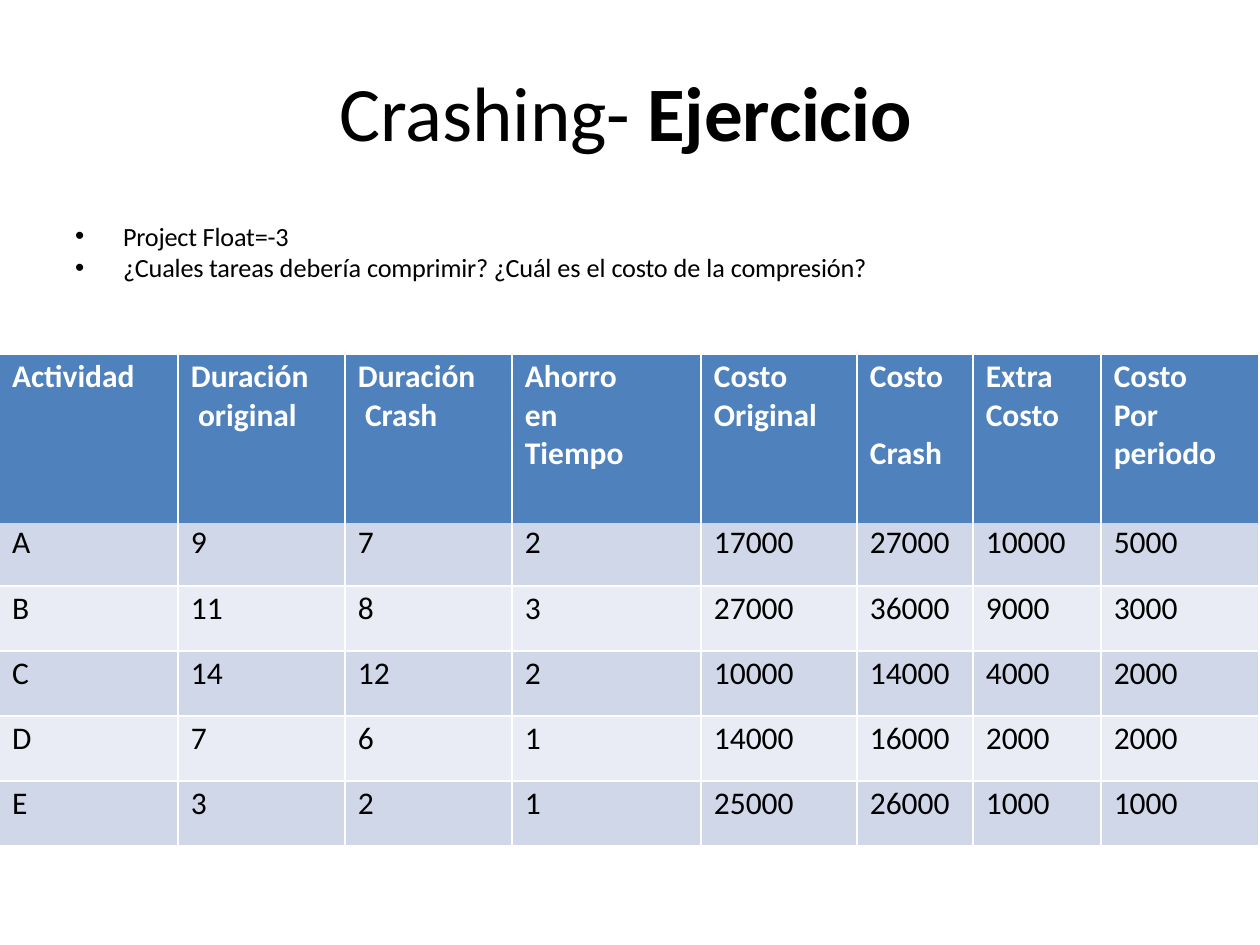
from dataclasses import dataclass

from lxml.etree import SubElement
from pptx import Presentation
from pptx.dml.color import RGBColor
from pptx.enum.text import PP_ALIGN
from pptx.oxml import parse_xml
from pptx.oxml.ns import nsdecls, qn
from pptx.util import Emu, Pt

PX = 914400 // 126


@dataclass(frozen=True)
class Theme:
    font: str = "Calibri"
    text: str = "000000"
    light: str = "FFFFFF"
    header: str = "4F81BC"
    bands: tuple = ("D0D7E8", "E9ECF4")
    title_size: int = 44
    body_size: int = 15
    table_size: int = 18


THEME = Theme()

# Each run is its text and its letter spacing in hundredths of a point.
BULLETS = [
    [("Project Float=-3", -10)],
    [("¿Cuales tareas ", -10), ("debería ", 0), ("comprimir? ¿Cuál ", -10),
     ("es el ", 0), ("costo ", -10), ("de la ", 0), ("compresión?", -10)],
]
COLUMNS = [179, 167, 167, 189, 156, 116, 128, 158]
ROWS = [169, 63, 65, 65, 65, 65]
HEADERS = ["Actividad", "Duración\v original", "Duración\v Crash",
           "Ahorro\ven\vTiempo", "Costo\vOriginal", "Costo\v\vCrash",
           "Extra\vCosto", "Costo\vPor\vperiodo"]
ACTIVITIES = [
    ["A", 9, 7, 2, 17000, 27000, 10000, 5000],
    ["B", 11, 8, 3, 27000, 36000, 9000, 3000],
    ["C", 14, 12, 2, 10000, 14000, 4000, 2000],
    ["D", 7, 6, 1, 14000, 16000, 2000, 2000],
    ["E", 3, 2, 1, 25000, 26000, 1000, 1000],
]


def px(n):
    return Emu(n * PX)


def add_run(p, text, size, color=THEME.text, bold=False, spacing=0):
    r = p.add_run()
    r.text = text
    r.font.name = THEME.font
    r.font.size = Pt(size)
    r.font.bold = bold
    r.font.color.rgb = RGBColor.from_string(color)
    if spacing:
        r._r.get_or_add_rPr().set("spc", str(spacing))


def add_text_box(s, left, top, width, height, margin_top):
    tf = s.shapes.add_textbox(px(left), px(top), px(width), px(height)).text_frame
    tf.word_wrap = True
    tf.margin_left = tf.margin_right = tf.margin_bottom = 0
    tf.margin_top = px(margin_top)
    return tf


def add_title(s):
    p = add_text_box(s, 340, 64, 580, 97, 1).paragraphs[0]
    p.alignment = PP_ALIGN.LEFT
    add_run(p, "Crashing- ", THEME.title_size, spacing=-10)
    add_run(p, "Ejercicio", THEME.title_size, bold=True, spacing=-10)


def add_bullets(s):
    tf = add_text_box(s, 74, 218, 804, 67, 2)
    for i, runs in enumerate(BULLETS):
        p = tf.add_paragraph() if i else tf.paragraphs[0]
        pPr = p._p.get_or_add_pPr()
        pPr.set("marL", str(px(49)))
        pPr.set("indent", str(-px(48)))
        SubElement(pPr, qn("a:buFont"), typeface="Arial")
        SubElement(pPr, qn("a:buChar"), char="•")
        for text, spacing in runs:
            add_run(p, text, THEME.body_size, spacing=spacing)


def set_borders(cell, sides):
    """Draw the given sides (of L, R, T, B) and clear the others."""
    tcPr = cell._tc.get_or_add_tcPr()
    for i, side in enumerate("LRTB"):
        paint = (f'<a:solidFill><a:srgbClr val="{THEME.light}"/></a:solidFill>'
                 if side in sides else "<a:noFill/>")
        tcPr.insert(i, parse_xml(
            f'<a:ln{side} {nsdecls("a")} w="12700">{paint}</a:ln{side}>'))


def fill_cell(cell, text, row):
    is_header = row == 0
    cell.fill.solid()
    cell.fill.fore_color.rgb = RGBColor.from_string(
        THEME.header if is_header else THEME.bands[(row - 1) % 2])
    set_borders(cell, {0: "LRT", 1: "LRB"}.get(row, "LRTB"))
    cell.margin_left = px(13)
    cell.margin_right = cell.margin_bottom = 0
    cell.margin_top = px(1 if row == 1 else 4)
    p = cell.text_frame.paragraphs[0]
    for i, line in enumerate(str(text).split("\v")):
        if i:
            p.add_line_break()
        if line:
            add_run(p, line, THEME.table_size,
                    THEME.light if is_header else THEME.text, is_header)


def add_cost_table(s):
    table = s.shapes.add_table(len(ROWS), len(COLUMNS), px(-1), px(354),
                               px(sum(COLUMNS)), px(sum(ROWS))).table
    table.first_row = table.horz_banding = False
    for column, width in zip(table.columns, COLUMNS):
        column.width = px(width)
    for row, height in zip(table.rows, ROWS):
        row.height = px(height)
    for i, values in enumerate([HEADERS] + ACTIVITIES):
        for j, value in enumerate(values):
            fill_cell(table.cell(i, j), value, i)


def main():
    prs = Presentation()
    prs.slide_width, prs.slide_height = px(1260), px(945)
    s = prs.slides.add_slide(prs.slide_layouts[6])
    add_title(s)
    add_bullets(s)
    add_cost_table(s)
    prs.save("out.pptx")


if __name__ == "__main__":
    main()
